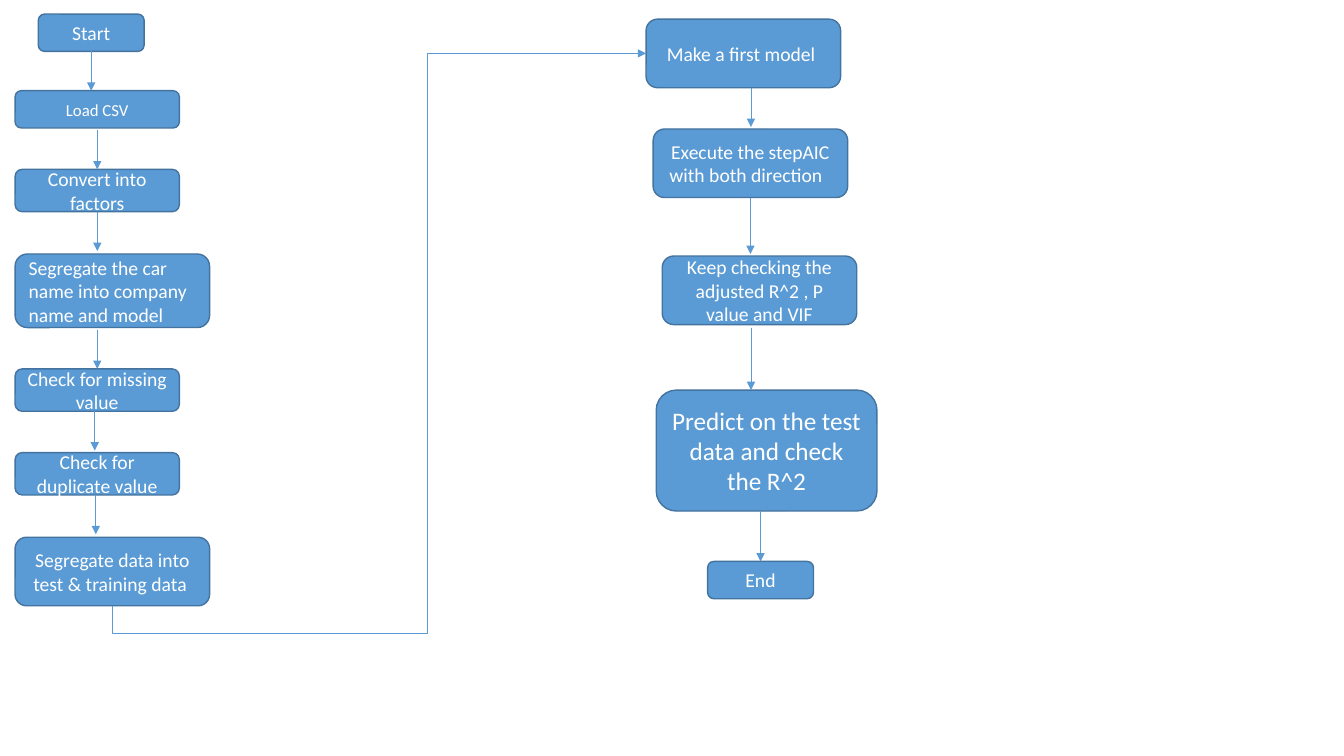
from dataclasses import dataclass
from typing import Optional

from lxml import etree
from pptx import Presentation
from pptx.dml.color import RGBColor
from pptx.enum.shapes import MSO_CONNECTOR, MSO_SHAPE
from pptx.enum.text import PP_ALIGN
from pptx.oxml.ns import qn
from pptx.shapes.autoshape import Shape
from pptx.shapes.connector import Connector
from pptx.slide import Slide
from pptx.util import Inches, Length, Pt

ROUNDED = MSO_SHAPE.ROUNDED_RECTANGLE
STRAIGHT, ELBOW = MSO_CONNECTOR.STRAIGHT, MSO_CONNECTOR.ELBOW
LEFT, CENTER = PP_ALIGN.LEFT, PP_ALIGN.CENTER
SIDE_TOP, SIDE_LEFT, SIDE_BOTTOM = 0, 1, 2

BLUE = RGBColor(0x5B, 0x9B, 0xD5)
DARK_BLUE = RGBColor(0x43, 0x73, 0x9E)
WHITE = RGBColor(0xFF, 0xFF, 0xFF)
FONT = "Calibri"

# Ten grid columns or rows make one inch.
CELL = 0.1
COLS, ROWS = 133.33, 75
PREP_COL = 1.5

# Box sizes in columns and rows
TERMINAL = (10.5, 3.7)
LOAD = (16.3, 3.7)
CHECK = (16.3, 4.2)
STEP = (19.3, 6.8)
TALL_STEP = (19.3, 7.3)
PREDICT = (21.9, 12)


@dataclass(frozen=True)
class Box:
    text: str
    col: float
    row: float
    size: tuple[float, float]
    points: int = 14
    align: PP_ALIGN = CENTER


@dataclass(frozen=True)
class Arrow:
    """A downward arrow; source and target are the boxes it is joined to."""
    col: float
    row: float
    end_row: float
    source: Optional[str] = None
    target: Optional[str] = None


BOXES = {
    "start": Box("Start", 3.8, 1.4, TERMINAL),
    "load": Box("Load CSV", PREP_COL, 9, LOAD, points=12),
    "factors": Box("Convert into factors", PREP_COL, 16.8, CHECK),
    "names": Box("Segregate the car name into company name and model",
                 PREP_COL, 25.2, TALL_STEP, align=LEFT),
    "missing": Box("Check for missing value", PREP_COL, 36.6, CHECK),
    "duplicates": Box("Check for duplicate value", PREP_COL, 44.9, CHECK),
    "split": Box("Segregate data into test & training data ",
                 PREP_COL, 53.3, STEP),
    "model": Box("Make a first model ", 64.1, 1.9, STEP),
    "step_aic": Box("Execute the stepAIC with both direction  ",
                    64.8, 12.8, STEP),
    "adjusted": Box("Keep checking the adjusted R^2 , P value and VIF",
                    65.7, 25.4, STEP),
    "predict": Box("Predict on the test data and check the R^2",
                   65.1, 38.7, PREDICT, points=18),
    "end": Box("End", 70.2, 55.7, TERMINAL),
}

ARROWS = [
    Arrow(9.05, 5.1, 9, source="start"),
    Arrow(9.65, 12.9, 16.8, target="factors"),
    Arrow(9.65, 21, 24.9, source="factors"),
    Arrow(9.65, 32.7, 36.6, target="missing"),
    Arrow(9.4, 40.8, 44.7),
    Arrow(9.5, 49.1, 53),
    Arrow(74.5, 8.7, 12.6),
    Arrow(74.45, 19.6, 25.2, source="step_aic"),
    Arrow(74.5, 32.5, 38.7),
    Arrow(75.45, 50.7, 55.7, target="end"),
]


def grid(cells: float) -> Length:
    return Inches(cells * CELL)


def add_box(s: Slide, box: Box) -> Shape:
    width, height = box.size
    sp = s.shapes.add_shape(ROUNDED, grid(box.col), grid(box.row),
                            grid(width), grid(height))
    sp.shadow.inherit = False
    sp.fill.solid()
    sp.fill.fore_color.rgb = BLUE
    sp.line.color.rgb = DARK_BLUE
    sp.line.width = Pt(1)
    tf = sp.text_frame
    tf.word_wrap = True
    tf.text = box.text
    p = tf.paragraphs[0]
    p.alignment = box.align
    font = p.runs[0].font
    font.name = FONT
    font.size = Pt(box.points)
    font.color.rgb = WHITE
    return sp


def style_arrow(connector: Connector) -> None:
    connector.line.color.rgb = BLUE
    connector.line.width = Pt(0.5)
    sp_pr = connector._element.spPr
    etree.SubElement(sp_pr.find(qn("a:ln")), qn("a:tailEnd"), type="triangle")
    etree.SubElement(sp_pr, qn("a:effectLst"))


def add_arrow(s: Slide, arrow: Arrow, shapes: dict[str, Shape]) -> None:
    connector = s.shapes.add_connector(
        STRAIGHT, grid(arrow.col), grid(arrow.row),
        grid(arrow.col), grid(arrow.end_row))
    if arrow.source:
        connector.begin_connect(shapes[arrow.source], SIDE_BOTTOM)
    if arrow.target:
        connector.end_connect(shapes[arrow.target], SIDE_TOP)
    style_arrow(connector)


def add_return_arrow(s: Slide, source: Shape, target: Shape,
                     drop: float, turn: float) -> None:
    """Run down from source, across, up and into the left side of target.

    drop and turn are shares of the arrow's height and width.
    """
    connector = s.shapes.add_connector(ELBOW, 0, 0, 0, 0)
    connector.begin_connect(source, SIDE_BOTTOM)
    connector.end_connect(target, SIDE_LEFT)
    across = connector.end_x - connector.begin_x
    rise = connector.begin_y - connector.end_y
    middle_x = (connector.begin_x + connector.end_x) // 2
    middle_y = (connector.begin_y + connector.end_y) // 2

    # The bent shape lies on its side, so its width and height swap.
    connector.left, connector.top = middle_x - rise // 2, middle_y - across // 2
    connector.width, connector.height = rise, across
    xfrm = connector._element.spPr.find(qn("a:xfrm"))
    for name, value in (("rot", "5400000"), ("flipH", "1"), ("flipV", "1")):
        xfrm.set(name, value)

    geometry = connector._element.spPr.find(qn("a:prstGeom"))
    geometry.set("prst", "bentConnector4")
    adjustments = geometry.find(qn("a:avLst"))
    for name, share in (("adj1", -drop), ("adj2", turn)):
        etree.SubElement(adjustments, qn("a:gd"), name=name,
                         fmla=f"val {round(share * 100000)}")
    style_arrow(connector)


def main() -> None:
    prs = Presentation()
    prs.slide_width, prs.slide_height = grid(COLS), grid(ROWS)
    s = prs.slides.add_slide(prs.slide_layouts[6])
    shapes = {key: add_box(s, box) for key, box in BOXES.items()}
    for arrow in ARROWS:
        add_arrow(s, arrow, shapes)
    add_return_arrow(s, shapes["split"], shapes["model"], drop=0.05, turn=0.59)
    prs.save("out.pptx")


if __name__ == "__main__":
    main()
